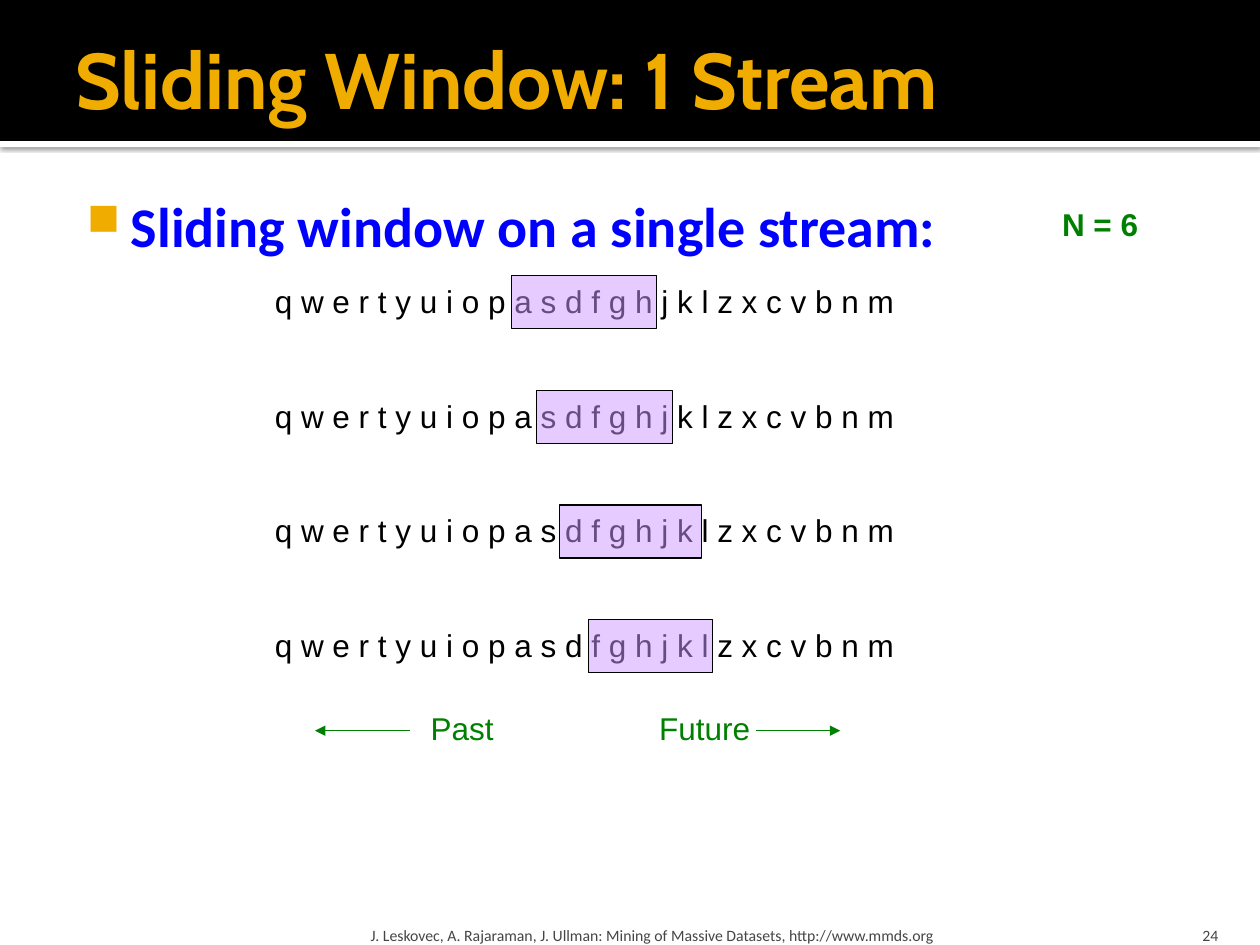
from lxml import etree
from pptx import Presentation
from pptx.dml.color import RGBColor
from pptx.enum.shapes import MSO_CONNECTOR, MSO_SHAPE
from pptx.enum.text import MSO_ANCHOR, MSO_AUTO_SIZE, PP_ALIGN
from pptx.oxml import parse_xml
from pptx.oxml.ns import qn
from pptx.util import Cm, Pt

RECT, LINE = MSO_SHAPE.RECTANGLE, MSO_CONNECTOR.STRAIGHT
TOP, MID, LOW = MSO_ANCHOR.TOP, MSO_ANCHOR.MIDDLE, MSO_ANCHOR.BOTTOM
LEFT, RIGHT = PP_ALIGN.LEFT, PP_ALIGN.RIGHT
FIXED, GROW = MSO_AUTO_SIZE.NONE, MSO_AUTO_SIZE.SHAPE_TO_FIT_TEXT
NS = 'xmlns:a="http://schemas.openxmlformats.org/drawingml/2006/main"'

# Theme: font, size, colour, bold for text; plain colours for shapes
THEME = {
    "title": ("Cabin", 45, "F0AD00", True),
    "lead": ("Calibri", 32, "0000FF", True),
    "stream": ("Arial", 18, "000000", False),
    "time": ("Arial", 18, "008000", False),
    "size": ("Arial", 18, "008000", True),
    "foot": ("Calibri", 9, "454545", False),
    "black": "000000", "white": "FFFFFF", "green": "008000",
    "window": "CC99FF", "bullet": "F0AD00",
}


def write(box, text, style, pads=(0.25, 0.13, 0.25, 0.13), anchor=TOP,
          align=LEFT, wrap=True):
    frame = box.text_frame
    form = dict(zip(("margin_left", "margin_top", "margin_right",
                     "margin_bottom"), map(Cm, pads)))
    form |= {"word_wrap": wrap, "vertical_anchor": anchor,
             "auto_size": FIXED if wrap else GROW}
    for key, val in form.items():
        setattr(frame, key, val)
    para = frame.paragraphs[0]
    para.alignment = align
    run = para.add_run()
    run.text = text
    name, size, color, bold = THEME[style]
    for key, val in {"name": name, "size": Pt(size), "bold": bold}.items():
        setattr(run.font, key, val)
    run.font.color.rgb = RGBColor.from_string(color)
    return para


def block(place, color):
    shape = shapes.add_shape(RECT, *map(Cm, place))
    shape.shadow.inherit = False
    shape.fill.solid()
    shape.fill.fore_color.rgb = RGBColor.from_string(THEME[color])
    shape.line.fill.background()
    return shape


deck = Presentation()
deck.slide_width, deck.slide_height = Cm(25.4), Cm(19.05)
slide = deck.slides.add_slide(deck.slide_layouts[5])
shapes = slide.shapes

# Header band with a shaded white strip
strip = block((0, 2.84, 25.4, 0.13), "white")
glow = strip._element.spPr.find(qn("a:effectLst"))
glow.append(parse_xml(
    f'<a:outerShdw {NS} blurRad="31750" dist="10160" dir="5400000">'
    f'<a:srgbClr val="{THEME["black"]}"><a:alpha val="60000"/></a:srgbClr>'
    '</a:outerShdw>'))
block((0, 0, 25.4, 2.84), "black")

# Title, in front of the band
title = shapes.title
title.left, title.top, title.width, title.height = map(
    Cm, (1.27, 0.2, 22.86, 2.74))
write(title, "Sliding Window: 1 Stream", "title",
      (0.25, 0.13, 0.13, 0.13), MID)
shapes._spTree.append(title._element)

# Bulleted lead line
lead = shapes.add_textbox(*map(Cm, (1.27, 3.61, 22.86, 14.6)))
para = write(lead, "Sliding window on a single stream:", "lead",
             (0.15, 0.25, 0.25, 0.13))
props = para._p.get_or_add_pPr()
props.set("marL", str(Cm(1.22)))
props.set("indent", str(-Cm(0.89)))
for mark in (f'<a:buClr {NS}><a:srgbClr val="{THEME["bullet"]}"/></a:buClr>',
             f'<a:buSzPct {NS} val="80000"/>',
             f'<a:buChar {NS} char="■"/>'):
    props.append(parse_xml(mark))

# Footer and page number
for place, text, pad, align in (
        ((7.34, 18.29, 15.29, 0.76),
         "J. Leskovec, A. Rajaraman, J. Ullman: Mining of Massive Datasets, "
         "http://www.mmds.org", 0.13, LEFT),
        ((22.78, 18.29, 2.03, 0.76), "24", 0.25, RIGHT)):
    write(shapes.add_textbox(*map(Cm, place)), text, "foot",
          (pad, 0.13, pad, 0), LOW, align)

# The stream, with the window one step further in each row
stream = " ".join("qwertyuiopasdfghjklzxcvbnm")
windows = ((10.31, 2.92), (10.82, 2.74), (11.28, 2.87), (11.86, 2.51))
for row, (left, width) in enumerate(windows):
    top = 5.56 + row * 2.31
    write(shapes.add_textbox(*map(Cm, (5.29, top, 13.56, 1.02))),
          stream, "stream", wrap=False)
    window = block((left, top, width, 1.07), "window")
    window.line.color.rgb = RGBColor.from_string(THEME["black"])
    window.line.width = Pt(0.75)
    tint = window._element.spPr.find(qn("a:solidFill"))[0]
    etree.SubElement(tint, qn("a:alpha")).set("val", "50000")

# Labels for time and window size
for place, text, style in (((8.43, 14.17, 1.78, 1.02), "Past", "time"),
                           ((13.04, 14.17, 2.34, 1.02), "Future", "time"),
                           ((21.16, 4.01, 2.06, 1.02), "N = 6", "size")):
    write(shapes.add_textbox(*map(Cm, place)), text, style, wrap=False)

# Time arrows
for start, end in ((8.26, 6.35), (15.24, 16.94)):
    arrow = shapes.add_connector(LINE, *map(Cm, (start, 14.73, end, 14.73)))
    arrow.line.color.rgb = RGBColor.from_string(THEME["green"])
    arrow.line.width = Pt(0.75)
    etree.SubElement(arrow.line._get_or_add_ln(),
                     qn("a:tailEnd")).set("type", "triangle")
    etree.SubElement(arrow._element.spPr, qn("a:effectLst"))

deck.save("out.pptx")
